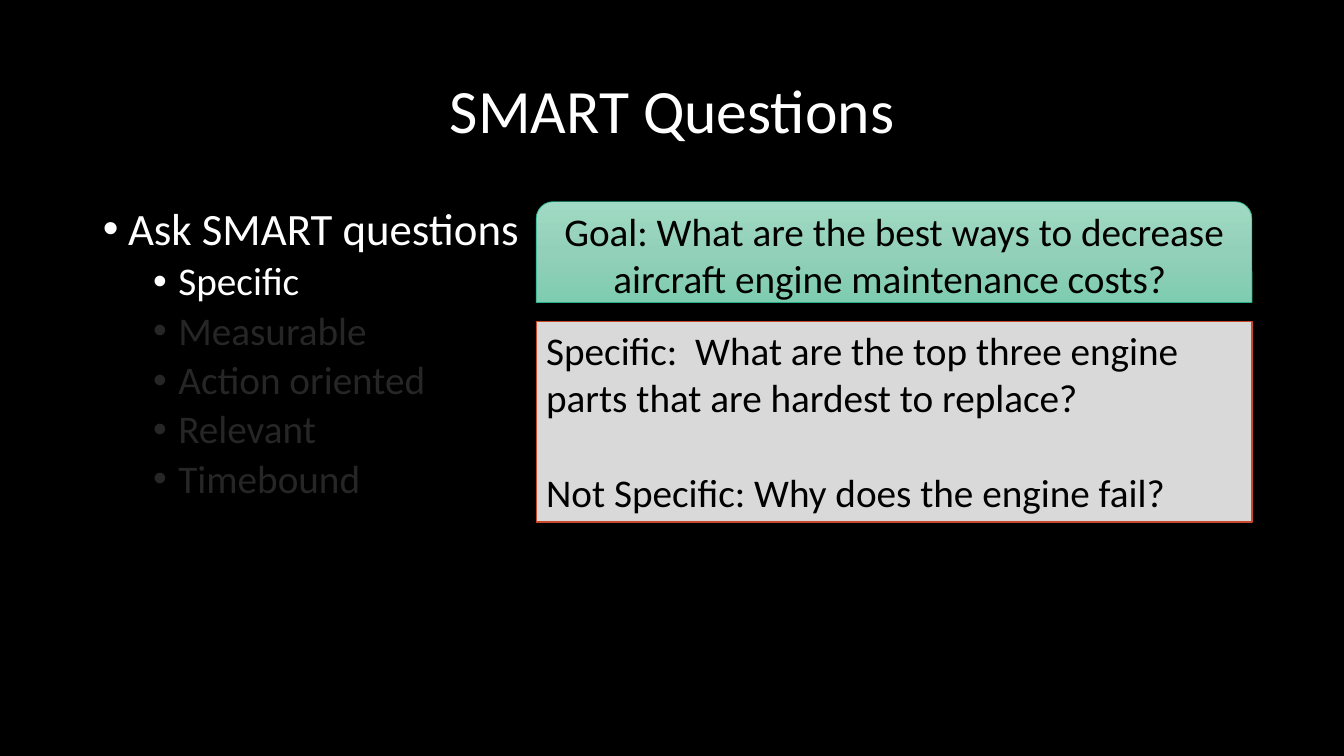
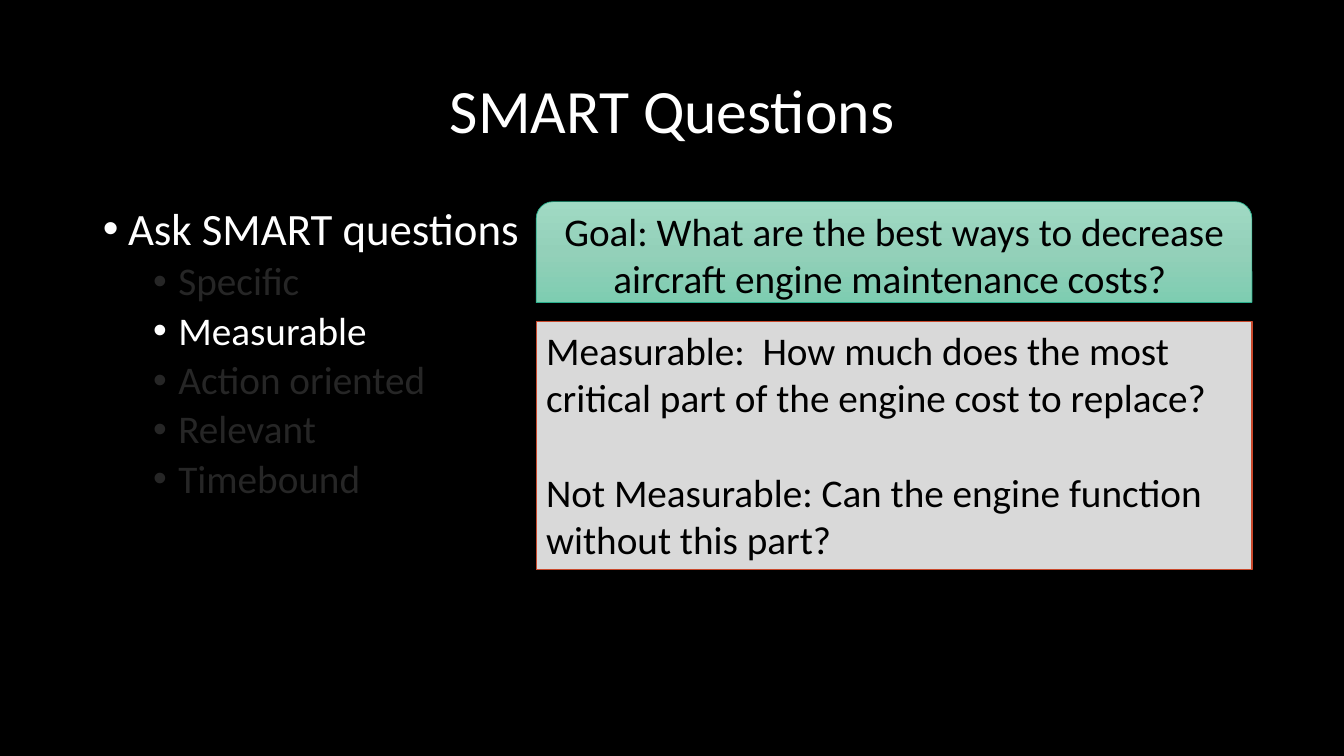
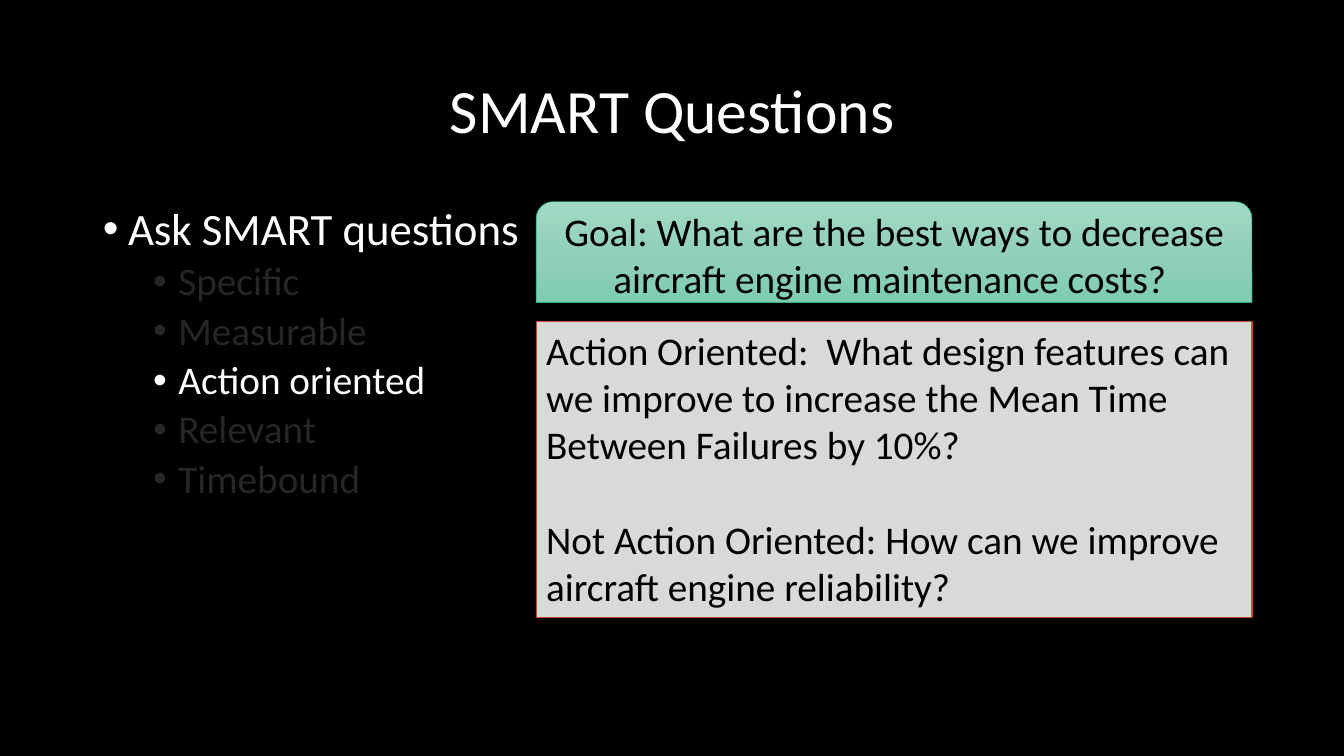
import copy
import pptx
import pptx.dml.color
import pptx.enum.shapes
import pptx.enum.text
import pptx.oxml
import pptx.oxml.ns
import pptx.util

WIDE, HIGH = pptx.util.Inches(13.33), pptx.util.Inches(7.5)
FACE = "Calibri"
BLACK, WHITE, DIM = "000000", "FFFFFF", "262626"
GREY, RED, TEAL = "D9D9D9", "C9492C", "29AF8C"
FADE = ["A0DAC4", "93D0B9", "7ECDB1"]

LEFT, FULL = 6.9, 86.25
SIDE = 39.9
PANEL = LEFT + FULL - SIDE
TOP = 26.67
LINE, PAD = 6.3, 1.33

TITLE = "SMART Questions"
LEAD = "Ask SMART questions"
GOAL = "Goal: What are the best ways to decrease aircraft engine maintenance costs? "
TRAITS = ["Specific", "Measurable", "Action oriented", "Relevant", "Timebound"]
CASES = [
    ("What are the top three engine parts that are hardest to replace?",
     "Why does the engine fail?", 4),
    ("How much does the most critical part of the engine cost to replace?",
     "Can the engine function without this part?", 5),
    ("What design features can we improve to increase the Mean Time "
     "Between Failures by 10%?",
     "How can we improve aircraft engine reliability?", 6),
]

SHAPE = pptx.enum.shapes.MSO_SHAPE
ANCHOR = pptx.enum.text.MSO_ANCHOR
ALIGN = pptx.enum.text.PP_ALIGN
FIT = pptx.enum.text.MSO_AUTO_SIZE


def paint(color, tone):
    color.rgb = pptx.dml.color.RGBColor.from_string(tone)


def area(x, y, w, h):
    return [int(part * size / 100)
            for part, size in zip((x, y, w, h), (WIDE, HIGH, WIDE, HIGH))]


def place(shape, *box):
    shape.left, shape.top, shape.width, shape.height = area(*box)


def style(para, size, tone, align=ALIGN.LEFT):
    para.alignment = align
    para.font.name = FACE
    para.font.size = pptx.util.Pt(size)
    paint(para.font.color, tone)


def bullet(para, tone, indent):
    props = para._p.get_or_add_pPr()
    props.set("marL", str(pptx.util.Inches(indent)))
    props.set("indent", str(pptx.util.Inches(-0.25)))
    space = pptx.oxml.ns.nsdecls("a")
    for mark in (f'<a:buClr {space}><a:srgbClr val="{tone}"/></a:buClr>',
                 f'<a:buFont {space} typeface="Arial"/>',
                 f'<a:buChar {space} char="•"/>'):
        props.append(pptx.oxml.parse_xml(mark))


def head(slide):
    title = slide.shapes.title
    place(title, LEFT, 5.33, FULL, 19.33)
    frame = title.text_frame
    frame.text = TITLE
    frame.auto_size = FIT.NONE
    frame.vertical_anchor = ANCHOR.MIDDLE
    para = frame.paragraphs[0]
    para.line_spacing = 0.9
    style(para, 44, WHITE, ALIGN.CENTER)


def outline(slide, active):
    body = slide.placeholders[1]
    place(body, LEFT, TOP, FULL, 63.47)
    frame = body.text_frame
    frame.text = "\n".join([LEAD] + TRAITS)
    frame.auto_size = FIT.NONE
    for row, para in enumerate(frame.paragraphs):
        lead = row == 0
        tone = WHITE if lead or row == active + 1 else DIM
        para.level = 0 if lead else 1
        para.line_spacing = 0.9
        para.space_before = pptx.util.Pt(10 if lead else 5)
        bullet(para, tone, 0.25 if lead else 0.75)
        style(para, 32 if lead else 28, tone)


def panel(slide, kind, y, h, text, edge, width, align, anchor):
    shape = slide.shapes.add_shape(kind, *area(SIDE, y, PANEL, h))
    shape.shadow.inherit = False
    paint(shape.line.color, edge)
    shape.line.width = pptx.util.Pt(width)
    frame = shape.text_frame
    frame.word_wrap = True
    frame.vertical_anchor = anchor
    frame.text = text
    for para in frame.paragraphs:
        style(para, 28, BLACK, align)
    return shape


def goal(slide):
    shape = panel(slide, SHAPE.ROUND_2_SAME_RECTANGLE, TOP, 13.33, GOAL,
                  TEAL, 0.5, ALIGN.CENTER, ANCHOR.MIDDLE)
    fill = shape.fill
    fill.gradient()
    fill.gradient_angle = 270
    first = shape._element.spPr.xpath(".//a:gs")[0]
    first.addnext(copy.deepcopy(first))
    for index, (stop, tone) in enumerate(zip(fill.gradient_stops, FADE)):
        stop.position = index / 2
        paint(stop.color, tone)


def sample(slide, trait, good, bad, lines):
    label = trait.title()
    text = f"{label}:  {good}\nNot {label}: {bad}"
    shape = panel(slide, SHAPE.RECTANGLE, 42.53, PAD + lines * LINE, text,
                  RED, 1, ALIGN.LEFT, ANCHOR.TOP)
    shape.fill.solid()
    paint(shape.fill.fore_color, GREY)
    shape.text_frame.paragraphs[1].space_before = pptx.util.Pt(34)


def main():
    deck = pptx.Presentation()
    deck.slide_width, deck.slide_height = WIDE, HIGH
    back = deck.slide_master.background.fill
    back.solid()
    paint(back.fore_color, BLACK)
    for index, case in enumerate(CASES):
        slide = deck.slides.add_slide(deck.slide_layouts[1])
        head(slide)
        outline(slide, index)
        goal(slide)
        sample(slide, TRAITS[index], *case)
    deck.save("out.pptx")


if __name__ == "__main__":
    main()
